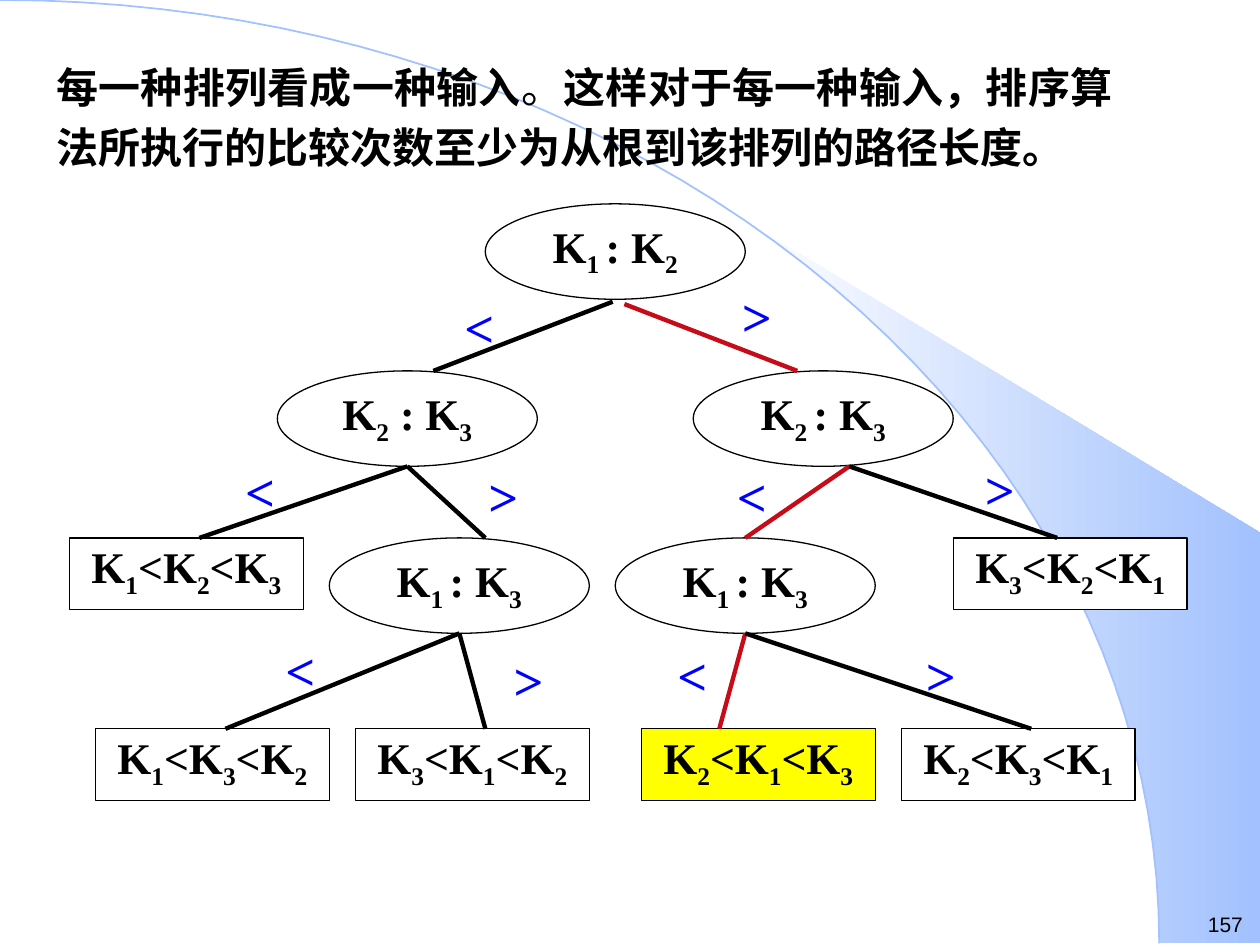
import math

from lxml import etree
from pptx import Presentation
from pptx.dml.color import RGBColor
from pptx.enum.shapes import MSO_CONNECTOR, MSO_SHAPE
from pptx.enum.text import MSO_ANCHOR, PP_ALIGN
from pptx.oxml.ns import qn
from pptx.util import Cm, Pt

ELLIPSE, RECT = MSO_SHAPE.OVAL, MSO_SHAPE.RECTANGLE
STRAIGHT = MSO_CONNECTOR.STRAIGHT
TOP = MSO_ANCHOR.TOP
LEFT, CENTER, JUSTIFY = PP_ALIGN.LEFT, PP_ALIGN.CENTER, PP_ALIGN.JUSTIFY

COLORS = {
    "black": "000000",
    "white": "FFFFFF",
    "sky": "A2C1FE",
    "path": "C60C19",
    "sign": "0000FF",
    "goal": "FFFF00",
}
SERIF, SANS = "Times New Roman", "Arial"

WIDTH, HEIGHT = 25.4, 19.05
ARC_X, ARC_Y = 23.37, 19.02

TREE_LEFT, TREE_TOP = 1.4, 4.11
COL, ROW = 0.524, 0.481
LEVELS = [0, 7, 14, 22]

QUESTIONS = [
    (16, 0, "K|1 |: K|2"),
    (8, 1, "K|2| : K|3"),
    (24, 1, "K|2 |: K|3"),
    (10, 2, "K|1 |: K|3"),
    (21, 2, "K|1 |: K|3"),
]
ORDERS = [
    (0, 2, "123", "white"),
    (34, 2, "321", "white"),
    (1, 3, "132", "white"),
    (11, 3, "312", "white"),
    (22, 3, "213", "goal"),
    (32, 3, "231", "white"),
]
BRANCHES = [
    (20.9, 4.1, 14, 1, "black"),
    (21.35, 4.2, 28, 1, "path"),
    (13, 11, 5, 2, "black"),
    (13, 11, 16, 2, "black"),
    (30, 11, 26, 2, "path"),
    (30, 11, 38, 2, "black"),
    (15, 18, 6, 3, "black"),
    (15, 18, 16, 3, "black"),
    (26, 18, 25, 3, "path"),
    (26, 18, 37, 3, "black"),
]
SIGNS = {
    "<": [(8.61, 5.82), (4.19, 9.12), (5, 12.73), (14.1, 9.22), (12.9, 12.83)],
    ">": [(14.2, 5.61), (19.1, 9.09), (17.91, 12.83), (9.6, 12.93), (9.09, 9.22)],
}


def rgb(name):
    return RGBColor.from_string(COLORS[name])


def tree_x(col):
    return TREE_LEFT + col * COL


def tree_y(row):
    return TREE_TOP + row * ROW


def arc_points(start):
    angles = [math.radians(a) for a in range(start, 91, 2)]
    return [(ARC_X * math.sin(a), ARC_Y * (1 - math.cos(a))) for a in angles]


class TreeSlide:
    def __init__(self, slide):
        self.s = slide

    def font(self, r, size, color="black", bold=True, name=SERIF):
        r.font.name = name
        r.font.size = Pt(size)
        r.font.bold = bold
        r.font.color.rgb = rgb(color)

    def outline(self, points):
        first, *rest = [(Cm(x), Cm(y)) for x, y in points]
        builder = self.s.shapes.build_freeform(*first)
        builder.add_line_segments(rest, close=False)
        sp = builder.convert_to_shape()
        sp.shadow.inherit = False
        return sp

    def beam(self):
        sp = self.outline([*arc_points(40), (WIDTH, ARC_Y), (WIDTH, 10.74)])
        sp.line.fill.background()
        sp.fill.gradient()
        sp.fill.gradient_angle = 0
        for stop, color in zip(sp.fill.gradient_stops, ("white", "sky")):
            stop.color.rgb = rgb(color)

    def arc(self):
        sp = self.outline(arc_points(0))
        sp.fill.background()
        sp.line.color.rgb = rgb("sky")
        sp.line.width = Pt(1)

    def text(self, x, y, w, h, words, align):
        sp = self.s.shapes.add_textbox(Cm(x), Cm(y), Cm(w), Cm(h))
        tf = sp.text_frame
        tf.word_wrap = True
        p = tf.paragraphs[0]
        p.alignment = align
        for part in words:
            p.add_run().text = part
        return p

    def node(self, kind, col, level, w, h, label, fill="white"):
        sp = self.s.shapes.add_shape(
            kind, Cm(tree_x(col)), Cm(tree_y(LEVELS[level])), Cm(w * COL), Cm(h * ROW)
        )
        sp.shadow.inherit = False
        sp.fill.solid()
        sp.fill.fore_color.rgb = rgb(fill)
        sp.line.color.rgb = rgb("black")
        sp.line.width = Pt(0.75)
        tf = sp.text_frame
        tf.margin_left = tf.margin_right = Cm(0.05)
        tf.margin_top = tf.margin_bottom = Cm(0.03)
        tf.vertical_anchor = TOP
        p = tf.paragraphs[0]
        p.alignment = CENTER
        p.space_before = Pt(15.6)
        for i, part in enumerate(label.split("|")):
            r = p.add_run()
            r.text = part
            self.font(r, 25)
            if i % 2:
                r.font._element.set("baseline", "-25000")

    def branch(self, col, row, to_col, to_level, color):
        line = self.s.shapes.add_connector(
            STRAIGHT, Cm(tree_x(col)), Cm(tree_y(row)),
            Cm(tree_x(to_col)), Cm(tree_y(LEVELS[to_level])),
        )
        line.line.color.rgb = rgb(color)
        line.line.width = Pt(2.5)
        etree.SubElement(line._element.spPr, qn("a:effectLst"))

    def sign(self, x, y, symbol):
        p = self.text(x, y, 2.11, 1.52, [symbol], CENTER)
        p.space_before = Pt(18.7)
        self.font(p.runs[0], 30, "sign")

    def statement(self, words):
        p = self.text(0.89, 0.91, 21.79, 2.69, words, JUSTIFY)
        p.line_spacing = 1.2
        p.space_before = Pt(6)
        for r in p.runs:
            self.font(r, 24, bold=r.text != "。")

    def page_number(self, number):
        p = self.text(24.1, 18.26, 1.3, 0.76, [number], LEFT)
        self.font(p.runs[0], 12, bold=False, name=SANS)


def main():
    prs = Presentation()
    prs.slide_width, prs.slide_height = Cm(WIDTH), Cm(HEIGHT)
    s = TreeSlide(prs.slides.add_slide(prs.slide_layouts[6]))
    s.beam()
    s.arc()
    s.page_number("157")
    s.statement([
        "每一种排列看成一种输入",
        "。",
        "这样对于每一种输入，排序算法所执行的比较次数至少为从根到该排列的路径长度。",
    ])
    for col, level, label in QUESTIONS:
        s.node(ELLIPSE, col, level, 10, 4, label)
    for col, level, keys, fill in ORDERS:
        s.node(RECT, col, level, 9, 3, "|<".join(f"K|{key}" for key in keys), fill)
    for branch in BRANCHES:
        s.branch(*branch)
    for symbol, places in SIGNS.items():
        for x, y in places:
            s.sign(x, y, symbol)
    prs.save("out.pptx")


if __name__ == "__main__":
    main()
